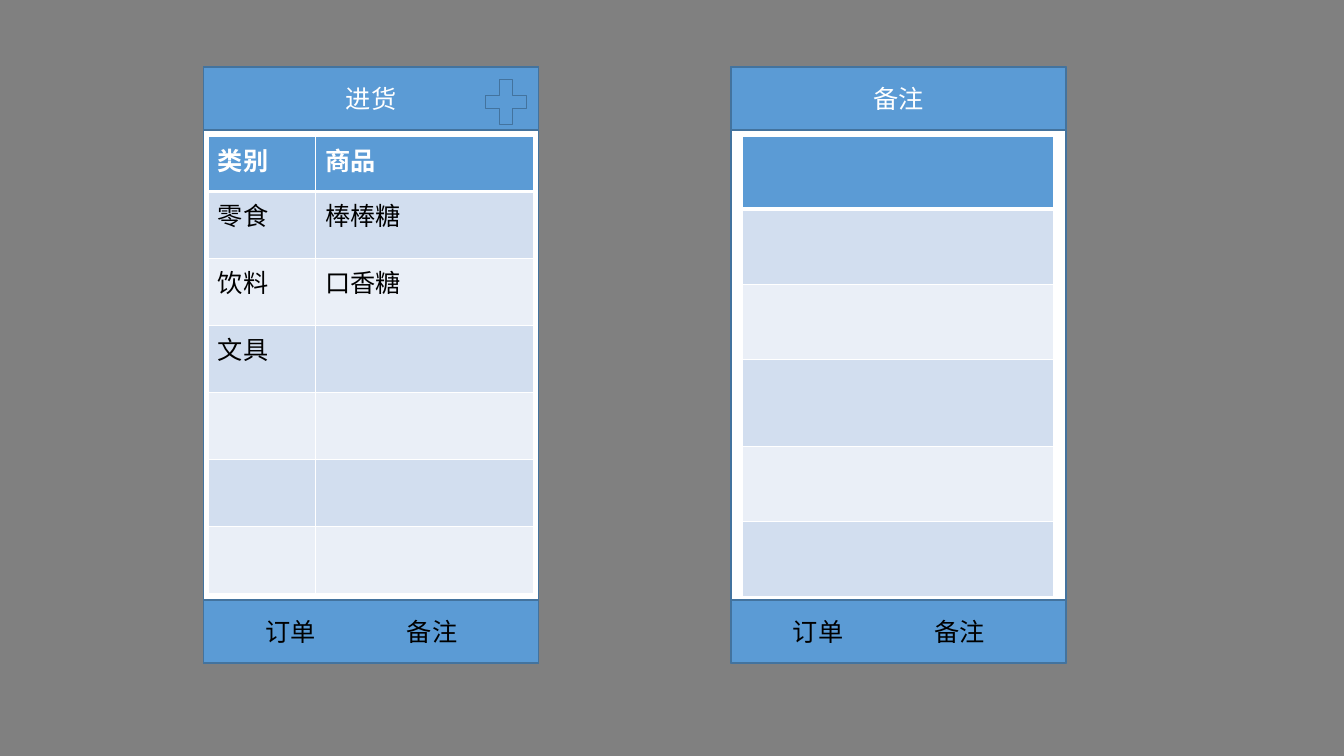
from dataclasses import dataclass

from lxml.etree import SubElement
from pptx import Presentation
from pptx.dml.color import RGBColor as Color
from pptx.enum.shapes import MSO_SHAPE as Preset
from pptx.enum.text import MSO_ANCHOR as Anchor, MSO_AUTO_SIZE as AutoSize, PP_ALIGN as Align
from pptx.oxml.ns import qn
from pptx.util import Pt


@dataclass(frozen=True)
class Theme:
    backdrop: str = "808080"
    white: str = "FFFFFF"
    black: str = "000000"
    blue: str = "5B9BD5"
    outline: str = "43739E"
    bands: tuple = ("D2DEEF", "EAEFF7")
    font: str = "Calibri"
    size: float = 18
    rule: float = 1
    header_rule: float = 3


class Painter:
    """Holds the style and the current slide."""

    def __init__(self, slide, theme):
        self.slide, self.theme = slide, theme
        self.paint(slide.background.fill, theme.backdrop)

    def paint(self, fill, color):
        fill.solid()
        fill.fore_color.rgb = Color.from_string(color)

    def add_text(self, frame, text, color, bold=False, align=None):
        para = frame.paragraphs[0]
        para.alignment = align
        span = para.add_run()
        span.text = text
        formats = {"name": self.theme.font, "size": Pt(self.theme.size), "bold": bold}
        for name, value in formats.items():
            setattr(span.font, name, value)
        span.font.color.rgb = Color.from_string(color)

    def shape(self, preset, left, top, width, height, fill, text=""):
        shape = self.slide.shapes.add_shape(preset, Pt(left), Pt(top), Pt(width), Pt(height))
        shape.shadow.inherit = False
        self.paint(shape.fill, fill)
        self.paint(shape.line.fill, self.theme.outline)
        shape.line.width = Pt(self.theme.rule)
        if text:
            shape.text_frame.vertical_anchor = Anchor.MIDDLE
            self.add_text(shape.text_frame, text, self.theme.white, align=Align.CENTER)

    def label(self, left, top, width, height, text):
        box = self.slide.shapes.add_textbox(Pt(left), Pt(top), Pt(width), Pt(height))
        formats = {"word_wrap": True, "auto_size": AutoSize.SHAPE_TO_FIT_TEXT}
        for name, value in formats.items():
            setattr(box.text_frame, name, value)
        self.add_text(box.text_frame, text, self.theme.black)

    def border(self, cell, bottom):
        props = cell._tc.get_or_add_tcPr()
        widths = {"lnL": self.theme.rule, "lnR": self.theme.rule,
                  "lnT": self.theme.rule, "lnB": bottom}
        for index, (side, width) in enumerate(widths.items()):
            line = SubElement(props, qn("a:" + side), w=str(Pt(width)))
            fill = SubElement(line, qn("a:solidFill"))
            SubElement(fill, qn("a:srgbClr"), val=self.theme.white)
            props.insert(index, line)

    def table(self, left, top, widths, heights, rows):
        theme = self.theme
        table = self.slide.shapes.add_table(
            len(heights), len(widths), Pt(left), Pt(top), Pt(sum(widths)), Pt(sum(heights))).table
        table.first_row = table.horz_banding = False
        for column, width in zip(table.columns, widths):
            column.width = Pt(width)
        for index, (row, height) in enumerate(zip(table.rows, heights)):
            row.height = Pt(height)
            header = index == 0
            for cell in row.cells:
                self.paint(cell.fill, theme.blue if header else theme.bands[(index - 1) % 2])
                self.border(cell, theme.header_rule if header else theme.rule)
        for index, texts in enumerate(rows):
            color = theme.white if index == 0 else theme.black
            for column, text in enumerate(texts):
                self.add_text(table.cell(index, column).text_frame, text, color, bold=index == 0)

    def phone(self, left, title):
        top, width, height, bar = 48, 239.3, 425.5, 44.9
        footer = top + height - bar
        self.shape(Preset.RECTANGLE, left, top, width, height, self.theme.white)
        self.shape(Preset.RECTANGLE, left, top, width, bar, self.theme.blue, title)
        self.shape(Preset.RECTANGLE, left, footer, width, bar, self.theme.blue)
        for offset, text in ((37, "订单"), (138, "备注")):
            self.label(left + offset, footer + 7.8, 57, 29, text)


deck = Presentation()
deck.slide_width, deck.slide_height = Pt(960), Pt(540)
page = deck.slides.add_slide(deck.slide_layouts[6])
painter = Painter(page, Theme())

# Stock screen: categories and goods
stock_left = 145.5
painter.phone(stock_left, "进货")
painter.table(stock_left + 3, 97.4, [76.8, 156], [39.4] + [47.9] * 6,
              [("类别", "商品"), ("零食", "棒棒糖"), ("饮料", "口香糖"), ("文具",)])

# Notes screen: empty list
notes_left = 522.3
painter.phone(notes_left, "备注")
painter.table(notes_left + 8, 97.4, [222.2], [52, 53.7, 53.7, 62, 53.7, 53.7], [])

# Add button in the stock title bar
painter.shape(Preset.MATH_PLUS, 341.6, 51, 39.6, 44, painter.theme.blue)

deck.save("out.pptx")
